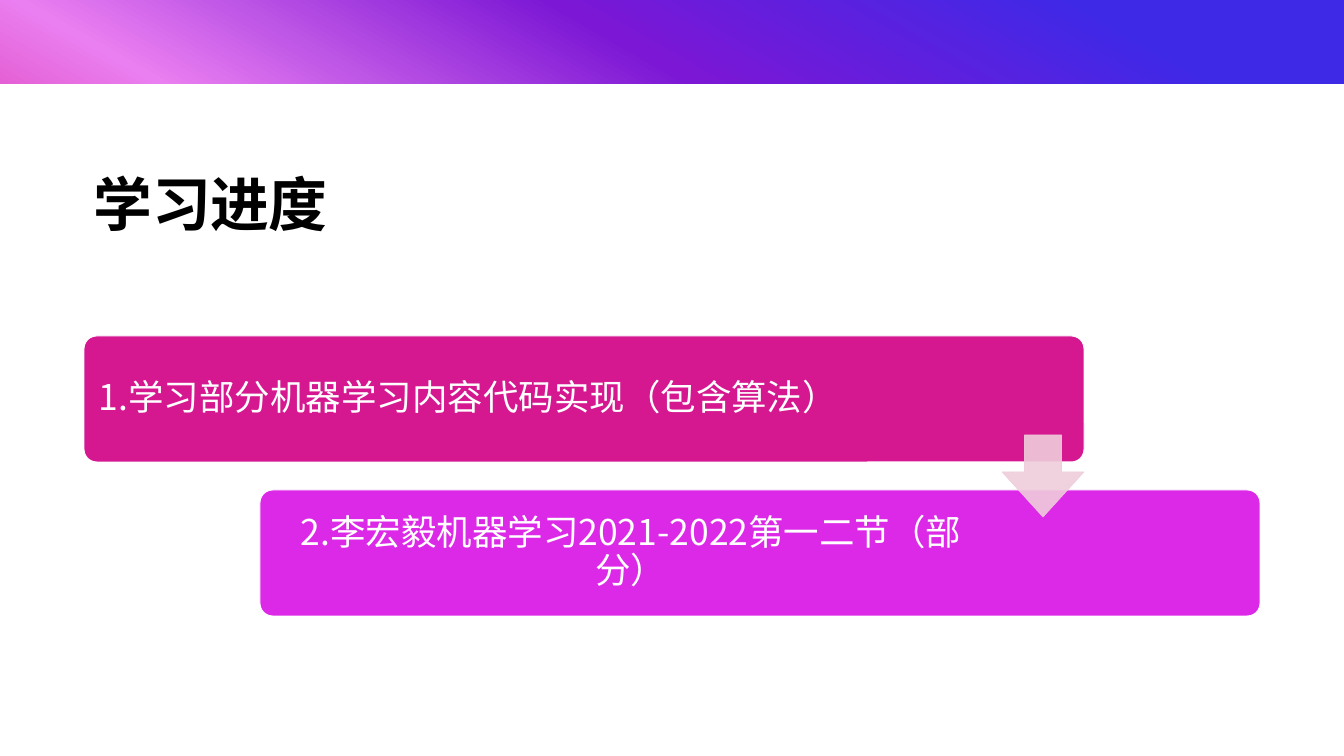
from copy import deepcopy

from lxml.etree import SubElement
from pptx import Presentation
from pptx.dml.color import RGBColor
from pptx.enum.shapes import MSO_SHAPE as SHAPE
from pptx.enum.text import MSO_ANCHOR as ANCHOR, PP_ALIGN as ALIGN
from pptx.oxml.ns import qn
from pptx.util import Pt

PX = 20411  # EMU per px
W, H = 1344, 756
FONT = "Noto Sans CJK SC"

WHITE = RGBColor(0xFF, 0xFF, 0xFF)
BLACK = RGBColor(0x00, 0x00, 0x00)
BLUE = RGBColor(0x3E, 0x29, 0xE7)
PURPLE = RGBColor(0x7C, 0x17, 0xD5)
PINK = RGBColor(0xEA, 0x7F, 0xF1)
MAGENTA = RGBColor(0xD5, 0x17, 0x90)
RED = RGBColor(0xE7, 0x29, 0x53)
VIOLET = RGBColor(0xDC, 0x29, 0xE7)
BLUSH = RGBColor(0xEF, 0xCC, 0xDB)

prs = Presentation()
prs.slide_width, prs.slide_height = W * PX, H * PX
slide = prs.slides.add_slide(prs.slide_layouts[6])


def add_block(kind, box, color, line=None, line_pt=1, adjust=()):
    sp = slide.shapes.add_shape(kind, *(v * PX for v in box))
    sp.shadow.inherit = False
    for i, value in enumerate(adjust):
        sp.adjustments[i] = value
    sp.fill.solid()
    sp.fill.fore_color.rgb = color
    if line is None:
        sp.line.fill.background()
    else:
        sp.line.color.rgb = line
        sp.line.width = Pt(line_pt)
    return sp


def add_text(box, text, size, color, spacing, insets, anchor, align=ALIGN.LEFT, bold=False):
    tf = slide.shapes.add_textbox(*(v * PX for v in box)).text_frame
    side, edge = (v * PX for v in insets)
    frame = {"word_wrap": True, "vertical_anchor": anchor,
             "margin_left": side, "margin_right": side,
             "margin_top": edge, "margin_bottom": edge}
    for name, value in frame.items():
        setattr(tf, name, value)
    p = tf.paragraphs[0]
    p.alignment, p.line_spacing = align, spacing
    r = p.add_run()
    r.text = text
    for name, value in {"size": Pt(size), "bold": bold, "name": FONT}.items():
        setattr(r.font, name, value)
    r.font.color.rgb = color
    rPr = r._r.get_or_add_rPr()
    SubElement(rPr, qn("a:ea")).set("typeface", FONT)
    return rPr


# Header band: a full-slide gradient with a white page over its lower part
header = add_block(SHAPE.RECTANGLE, (0, 0, W, H), BLUE)
header.fill.gradient()
header.fill.gradient_angle = 240
stop_list = header._element.spPr.find(".//" + qn("a:gsLst"))
colors = [BLUE, PURPLE, PINK, MAGENTA, RED]
while len(stop_list) < len(colors):
    stop_list.append(deepcopy(stop_list[0]))
for i, (stop, color) in enumerate(zip(header.fill.gradient_stops, colors)):
    stop.position = (10 + 20 * i) / 100
    stop.color.rgb = color
add_block(SHAPE.RECTANGLE, (0, 84, W, H - 84), WHITE)

title = add_text((84, 168, 1176, 148), "学习进度", 94.5, BLACK, 0.95, (10, 5), ANCHOR.TOP, bold=True)
title.set("spc", "-110")

# Steps, each one lower and further right
steps = [
    ("1.学习部分机器学习内容代码实现（包含算法）", MAGENTA, 869, ALIGN.LEFT),
    ("2.李宏毅机器学习2021-2022第一二节（部分）", VIOLET, 734, ALIGN.CENTER),
]
for i, (text, color, text_w, align) in enumerate(steps):
    x, y = 84 + 176 * i, 336 + 154 * i
    add_block(SHAPE.ROUNDED_RECTANGLE, (x, y, 1000, 126), color, WHITE, 1.5, [0.1])
    add_text((x + 4, y + 4, text_w, 118), text, 57, WHITE, 0.9, (11, 11), ANCHOR.MIDDLE, align)

arrow = add_block(SHAPE.DOWN_ARROW, (1002, 435, 82, 82), BLUSH, BLUSH, 1, [0.45, 0.55])
for clr in arrow._element.spPr.iter(qn("a:srgbClr")):
    SubElement(clr, qn("a:alpha")).set("val", "90000")

prs.save("out.pptx")
